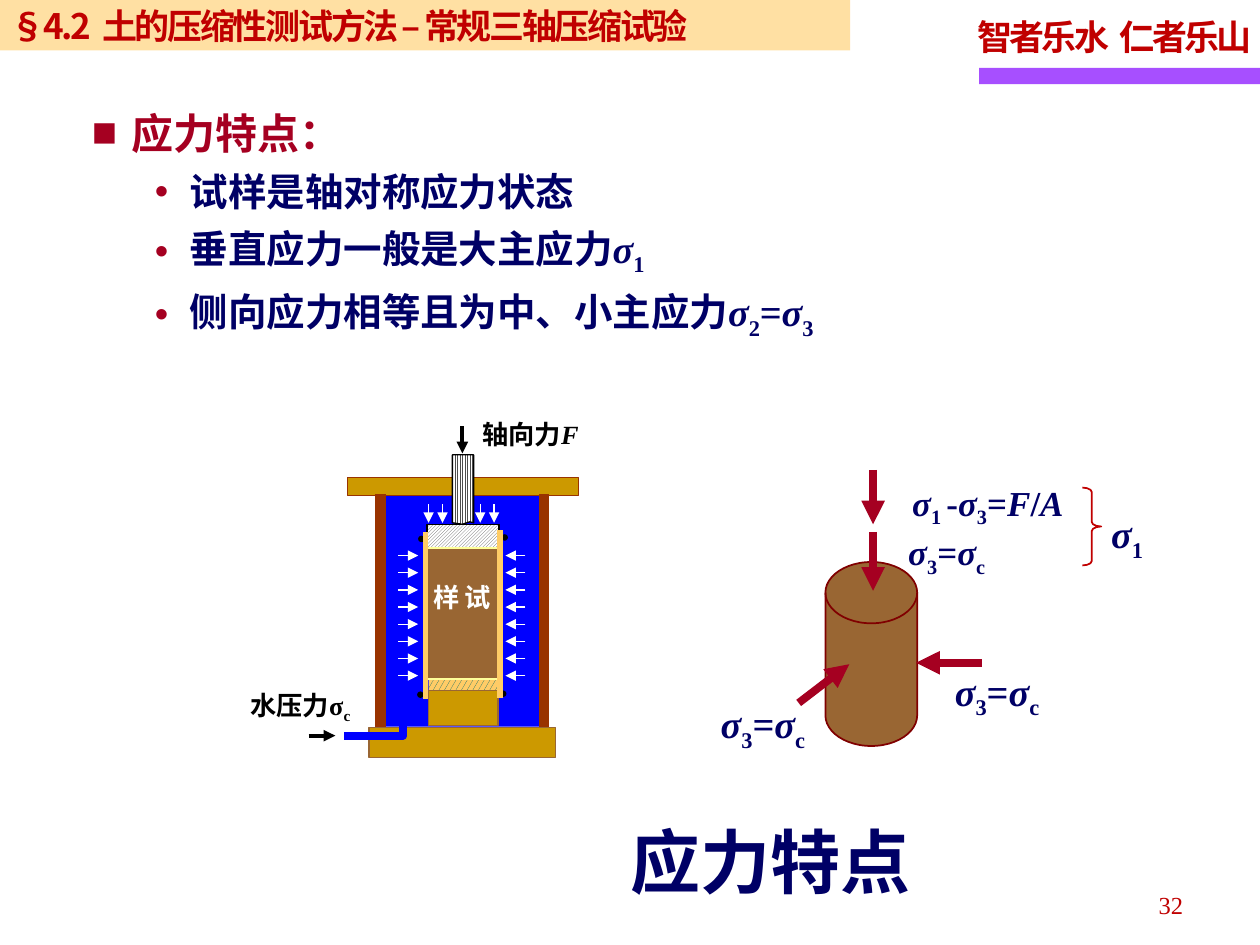
from lxml import etree
from pptx import Presentation
from pptx.dml.color import RGBColor
from pptx.enum.dml import MSO_PATTERN
from pptx.enum.shapes import MSO_CONNECTOR, MSO_SHAPE
from pptx.enum.text import MSO_ANCHOR, MSO_AUTO_SIZE, PP_ALIGN
from pptx.oxml.ns import qn
from pptx.util import Cm, Pt

RECT, OVAL = MSO_SHAPE.RECTANGLE, MSO_SHAPE.OVAL
DISK, BRACE = MSO_SHAPE.FLOWCHART_MAGNETIC_DISK, MSO_SHAPE.RIGHT_BRACE
SPOTS, HATCH = MSO_PATTERN.LARGE_CONFETTI, MSO_PATTERN.LIGHT_UPWARD_DIAGONAL
BARS = MSO_PATTERN.LIGHT_VERTICAL
STRAIGHT = MSO_CONNECTOR.STRAIGHT
LEFT, MID, RIGHT = PP_ALIGN.LEFT, PP_ALIGN.CENTER, PP_ALIGN.RIGHT
SERIF, SANS = "Times New Roman", "Noto Sans CJK SC"
RED, WINE, NAVY = "C00000", "A50021", "000066"
BLACK, WHITE, BLUE = "000000", "FFFFFF", "0000FF"
GOLD, BROWN, RUST, SAND = "CC9900", "996633", "993300", "FFCC66"
rgb = RGBColor.from_string


def write(par, text, size, color, font=SERIF, bold=True):
    """Fill a paragraph with runs parted by |; * marks italic, _ subscript."""
    for part in text.split("|"):
        run = par.add_run()
        run.text = part.lstrip("*_")
        run.font.size = Pt(size)
        run.font.bold = bold
        run.font.italic = part.startswith("*")
        run.font.color.rgb = rgb(color)
        run.font.name = font
        props = run._r.get_or_add_rPr()
        etree.SubElement(props, qn("a:ea")).set("typeface", SANS)
        if part.startswith("_"):
            props.set("baseline", "-25000")


def rule(home, x1, y1, x2, y2, color, width, head=True):
    """Draw a straight line, with an arrowhead at its end if asked."""
    line = home.add_connector(STRAIGHT, Cm(x1), Cm(y1), Cm(x2), Cm(y2))
    line.line.color.rgb = rgb(color)
    line.line.width = Pt(width)
    if head:
        ln = line.line._get_or_add_ln()
        etree.SubElement(ln, qn("a:tailEnd")).set("type", "triangle")
    etree.SubElement(line._element.spPr, qn("a:effectLst"))


prs = Presentation()
prs.slide_width, prs.slide_height = Cm(25.4), Cm(19.05)
slide = prs.slides.add_slide(prs.slide_layouts[1])
page = slide.shapes

# Title and list
title, body = page.title, slide.placeholders[1]
for box, x, y, w, h in ((title, 7.24, 16.36, 16.59, 1.96),
                        (body, 1.85, 2.01, 18.75, 5.28)):
    box.left, box.top, box.width, box.height = Cm(x), Cm(y), Cm(w), Cm(h)
    box.text_frame.auto_size = MSO_AUTO_SIZE.NONE
write(title.text_frame.paragraphs[0], "应力特点", 40, NAVY)

frame = body.text_frame
frame.margin_left = frame.margin_right = 0
frame.margin_top = frame.margin_bottom = 0
points = [
    ("应力特点：", 0, 24, WINE, "■", 0.8, -0.8),
    ("试样是轴对称应力状态", 1, 22, NAVY, "•", 1.98, -0.71),
    ("垂直应力一般是大主应力|*σ|_1", 1, 22, NAVY, "•", 1.98, -0.71),
    ("侧向应力相等且为中、小主应力|*σ|_2|=|*σ|_3", 1, 22, NAVY, "•", 1.98, -0.71),
]
for i, (text, level, size, color, mark, left, hang) in enumerate(points):
    par = frame.add_paragraph() if i else frame.paragraphs[0]
    par.level = level
    props = par._p.get_or_add_pPr()
    props.set("marL", str(Cm(left)))
    props.set("indent", str(Cm(hang)))
    tint = etree.SubElement(props, qn("a:buClr"))
    etree.SubElement(tint, qn("a:srgbClr")).set("val", WINE)
    etree.SubElement(props, qn("a:buChar")).set("char", mark)
    par.line_spacing = 1.15
    par.space_before, par.space_after = Pt(0), Pt(1.75)
    write(par, text, size, color)

# Blocks: a fill is a colour or (pattern, front, back)
cell = page.add_group_shape().shapes
blocks = [
    (page, RECT, 19.74, 1.37, 5.66, 0.33, "A74FFF", None),
    (page, RECT, -0.03, 0, 17.17, 1.02, SAND, None),
    (cell, RECT, 7.7, 9.93, 3.23, 4.72, BLUE, None),
    (cell, RECT, 8.64, 13.69, 1.4, 0.25, (SPOTS, "006666", SAND), None),
    (cell, RECT, 8.61, 10.57, 1.45, 0.48, (HATCH, "5F5F5F", WHITE), BLACK),
    (cell, OVAL, 8.43, 10.8, 0.13, 0.13, BLACK, None),
    (cell, OVAL, 10.08, 13.92, 0.13, 0.13, BLACK, None),
    (cell, OVAL, 8.41, 13.94, 0.13, 0.13, BLACK, None),
    (cell, OVAL, 10.11, 10.77, 0.13, 0.13, BLACK, None),
    (cell, RECT, 8.64, 13.92, 1.4, 0.71, GOLD, BROWN),
    (cell, RECT, 7.44, 14.66, 3.76, 0.61, GOLD, BROWN),
    (cell, RECT, 7.01, 9.63, 2.11, 0.36, GOLD, RUST),
    (cell, RECT, 9.55, 9.63, 2.11, 0.36, GOLD, RUST),
    (cell, RECT, 8.61, 11.05, 1.45, 2.64, BROWN, "FFFF99"),
    (cell, RECT, 8.79, 11.53, 1.02, 1.55, BROWN, None),
    (page, DISK, 16.64, 11.33, 1.85, 3.71, BROWN, "800000"),
    (page, BRACE, 21.82, 9.83, 0.38, 1.57, None, RED),
]
made = []
for home, kind, x, y, w, h, fill, edge in blocks:
    block = home.add_shape(kind, Cm(x), Cm(y), Cm(w), Cm(h))
    block.shadow.inherit = False
    if fill is None:
        block.fill.background()
    elif isinstance(fill, tuple):
        block.fill.patterned()
        block.fill.pattern = fill[0]
        block.fill.fore_color.rgb = rgb(fill[1])
        block.fill.back_color.rgb = rgb(fill[2])
    else:
        block.fill.solid()
        block.fill.fore_color.rgb = rgb(fill)
    if edge:
        block.line.color.rgb = rgb(edge)
        block.line.width = Pt(0.75 if home is cell else 1)
    else:
        block.line.fill.background()
    made.append(block)
band, core, brace = made[1], made[14], made[16]
brace.adjustments[0] = 0.24

tint = band._element.spPr.find(qn("a:solidFill"))[0]
etree.SubElement(tint, qn("a:alpha")).set("val", "60000")
band.text_frame.vertical_anchor = MSO_ANCHOR.MIDDLE
head = band.text_frame.paragraphs[0]
head.alignment = LEFT
write(head, "§4.2| |土的压缩性测试方法 – 常规三轴压缩试验", 20, RED, SANS)

core.text_frame._txBody.bodyPr.set("vert", "eaVert")
core.text_frame.paragraphs[0].alignment = MID
write(core.text_frame.paragraphs[0], "试样", 15, WHITE)

# Piston and water pipe
rod = [(9.12, 9.17), (9.55, 9.17), (9.55, 10.54), (9.47, 10.52),
       (9.32, 10.57), (9.12, 10.54)]
tube = [(8.13, 14.63), (8.13, 14.83), (6.93, 14.83)]
for dots, shut, color, width in ((rod, True, BLACK, 0.75),
                                 (tube, False, BLUE, 4.5)):
    spots = [(Cm(x), Cm(y)) for x, y in dots]
    pen = cell.build_freeform(*spots[0])
    pen.add_line_segments(spots[1:], close=shut)
    form = pen.convert_to_shape()
    form.shadow.inherit = False
    form.line.color.rgb = rgb(color)
    form.line.width = Pt(width)
    if shut:
        form.fill.patterned()
        form.fill.pattern = BARS
        form.fill.fore_color.rgb = rgb("4D4D4D")
        form.fill.back_color.rgb = rgb(WHITE)
    else:
        form.fill.background()

# Membranes, walls and arrows
for x, y in ((8.58, 10.72), (10.08, 10.69)):
    rule(cell, x, y, x, y + 3.38, SAND, 3, False)
for x in (7.67, 10.97):
    rule(cell, x, 9.96, x, 14.66, RUST, 6, False)
rule(cell, 9.32, 8.59, 9.32, 9.14, BLACK, 2.25)
rule(cell, 6.22, 14.83, 6.76, 14.83, BLACK, 2.25)
for i in range(8):
    y = 11.2 + i * 2.42 / 7
    for start, end in ((8.03, 8.43), (10.59, 10.19)):
        rule(cell, start, y, end, y, WHITE, 0.75)
for x in (8.64, 8.92, 9.68, 9.96):
    rule(cell, x, 10.16, x, 10.54, WHITE, 0.75)
for ends in ((16.1, 14.17, 17.12, 13.39), (19.79, 13.36, 18.47, 13.36),
             (17.6, 10.72, 17.6, 11.91), (17.6, 9.47, 17.6, 10.57)):
    rule(page, *ends, WINE, 4.5)

# Labels
side = "*σ|_3|=|*σ|_c"
labels = [
    (page, "智者乐水| |仁者乐山", 19.71, 0.31, 5.69, 1, 20, RED, LEFT),
    (page, "32", 18.19, 17.95, 5.66, 0.75, 14, RED, RIGHT),
    (cell, "水压力σ|_c", 4.62, 13.89, 2.87, 0.74, 15, BLACK, MID),
    (cell, "轴向力|*F", 9.45, 8.43, 2.49, 0.74, 15, BLACK, MID),
    (page, side, 14.53, 14.12, 2.54, 1, 22, NAVY, LEFT),
    (page, side, 19.25, 13.46, 2.54, 1, 22, NAVY, LEFT),
    (page, "*σ|_1", 22.4, 10.28, 1.32, 1, 22, NAVY, LEFT),
    (page, side, 18.31, 10.69, 2.54, 0.9, 20, NAVY, LEFT),
    (page, "*σ|_1 |-|*σ|_3|=|*F|/|*A", 18.39, 9.7, 3.4, 0.9, 20, NAVY, LEFT),
]
for home, text, x, y, w, h, size, color, align in labels:
    frame = home.add_textbox(Cm(x), Cm(y), Cm(w), Cm(h)).text_frame
    frame.word_wrap = True
    frame.margin_left = frame.margin_right = 0
    frame.margin_top = frame.margin_bottom = 0
    par = frame.paragraphs[0]
    par.alignment = align
    write(par, text, size, color, bold=text != "32")
    if color == RED and align == LEFT:
        motto = par

# Tight lettering, with one wide gap each
for par, tight in ((head, "-140"), (motto, "-170")):
    for run in par.runs:
        run._r.get_or_add_rPr().set("spc", "170" if run.text == " " else tight)

prs.save("out.pptx")
